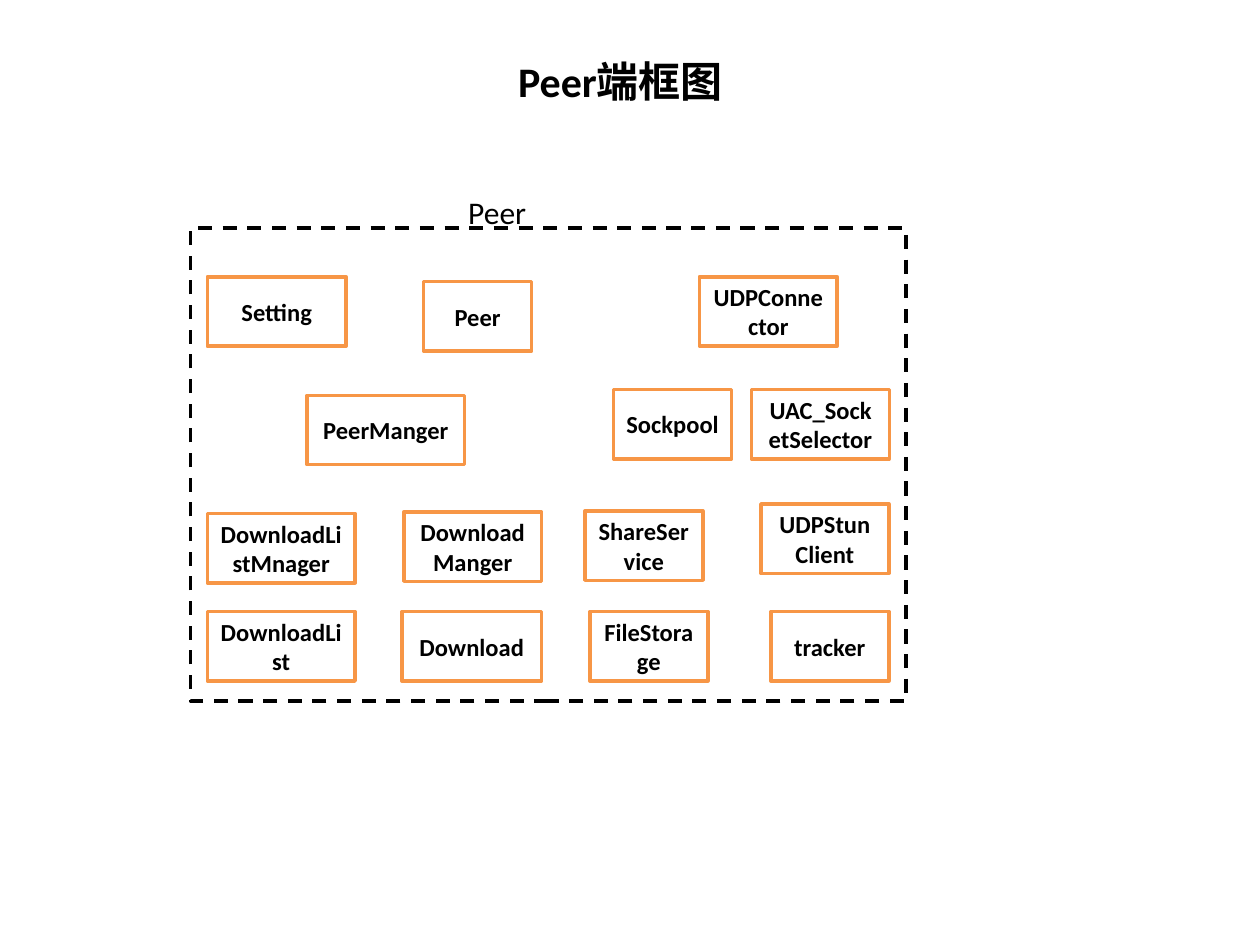
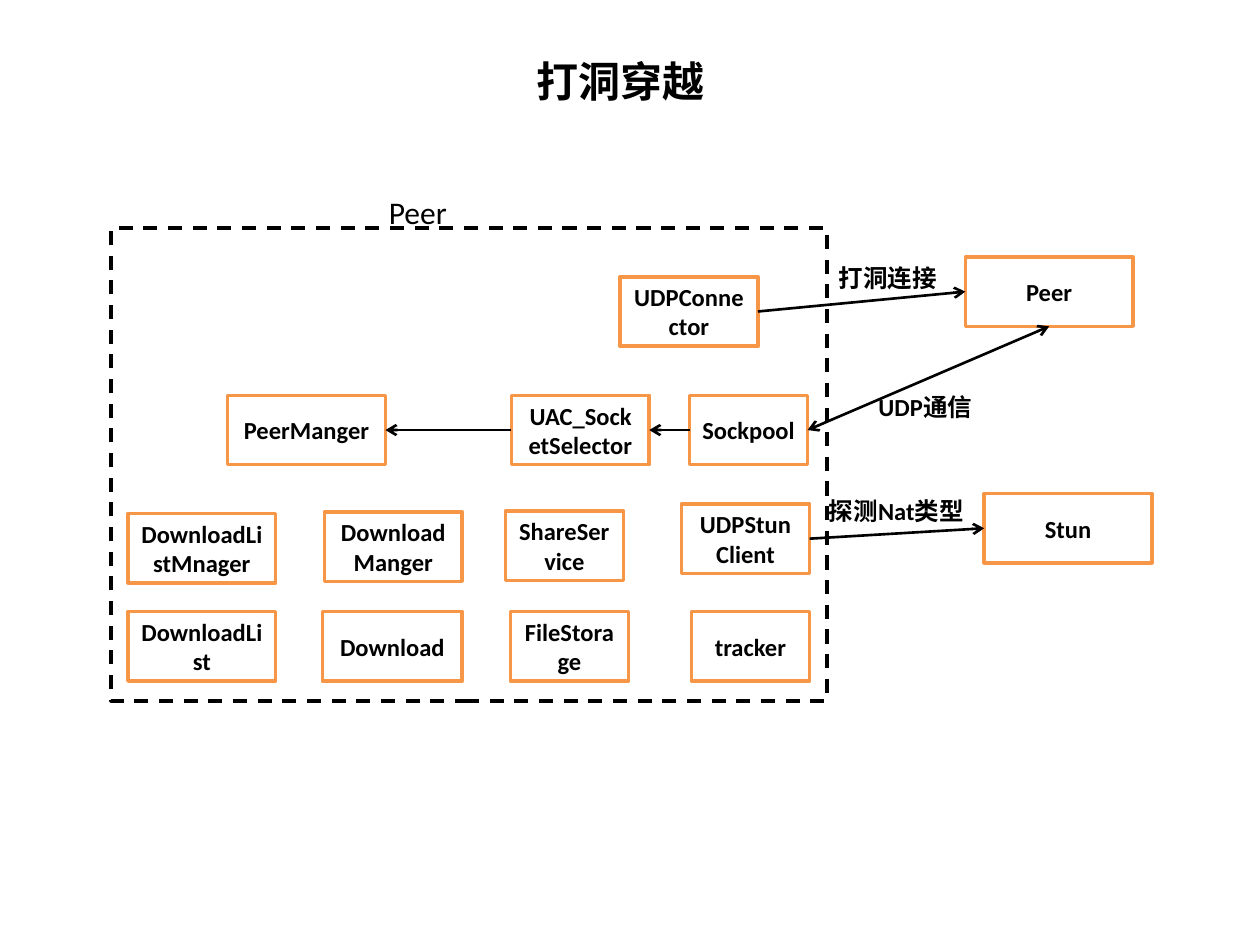
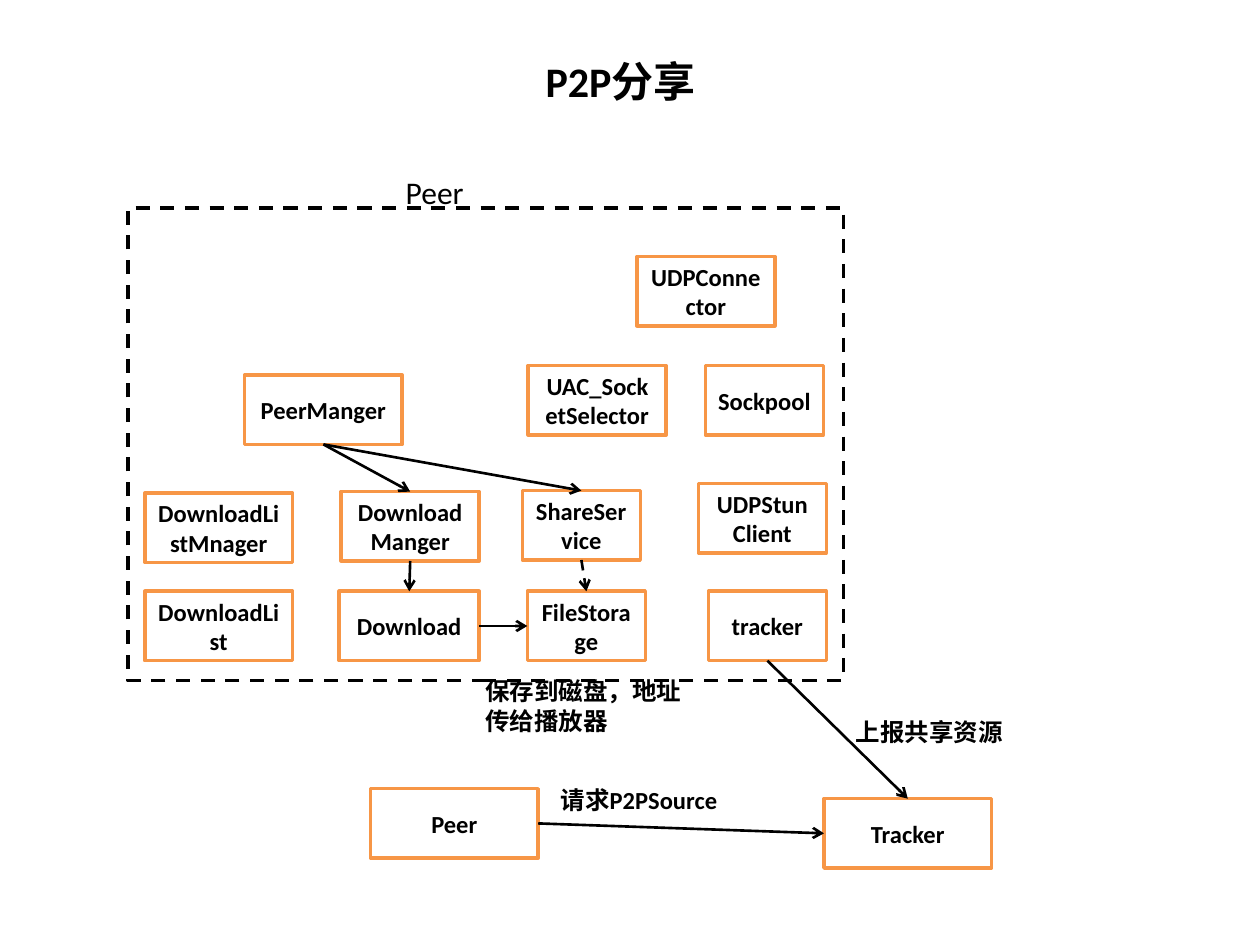
from dataclasses import dataclass

from lxml import etree
from pptx import Presentation
from pptx import util as u
from pptx.dml import color
from pptx.enum import dml, shapes, text
from pptx.oxml import ns

HUES = {"ink": "000000", "paper": "FFFFFF", "edge": "F79646"}
FONT = "Calibri"
BOX_H = 1.4
OUT_W = 3.38
FRAME_W, FRAME_H = 14.43, 9.53
TOP, LEFT, BASE, RIGHT = 0, 1, 2, 3


@dataclass
class Box:
    name: str
    x: float
    y: float
    w: float = OUT_W


@dataclass
class Note:
    words: str
    x: float
    y: float
    w: float = 3.96
    h: float = 0.86
    size: int = 14
    bold: bool = True
    center: bool = False


@dataclass
class Wire:
    start: str
    leave: int
    end: str
    enter: int
    both: bool = False
    dash: bool = False


@dataclass
class Page:
    title: str
    x: float
    y: float
    inner: list[Box]
    outer: list[Box]
    wires: list[Wire]
    notes: list[Note]


CORE = [
    Box("DownloadManger", 4.3, 5.72, 2.78),
    Box("DownloadList", 0.34, 7.73, 2.98),
    Box("Download", 4.26, 7.73, 2.82),
    Box("PeerManger", 2.35, 3.37, 3.18),
    Box("ShareService", 7.95, 5.7, 2.38),
    Box("UDPStunClient", 11.5, 5.56, 2.58),
    Box("tracker", 11.7, 7.73, 2.38),
    Box("DownloadListMnager", 0.34, 5.75, 2.98),
    Box("FileStorage", 8.05, 7.73, 2.38),
    Box("UDPConnector", 10.26, 0.98, 2.78),
]


def sockets(pick: float, pool: float, y: float) -> list[Box]:
    return [Box("UAC_SocketSelector", pick, y, 2.78), Box("Sockpool", pool, y, 2.38)]


PAGES = [
    Page(
        "Peer端框图", 3.84, 4.6,
        sockets(11.31, 8.53, 3.25)
        + [Box("Setting", 0.34, 0.98, 2.8), Box("Peer", 4.7, 1.08, 2.18)],
        [], [], [],
    ),
    Page(
        "打洞穿越", 2.24, 4.6,
        sockets(8.07, 11.66, 3.37),
        [Box("Stun", 19.84, 9.95), Box("Peer", 19.46, 5.18)],
        [
            Wire("UDPStunClient", RIGHT, "Stun", LEFT),
            Wire("UDPConnector", RIGHT, "Peer", LEFT),
            Wire("Sockpool", RIGHT, "Peer", BASE, both=True),
            Wire("Sockpool", LEFT, "UAC_SocketSelector", RIGHT),
            Wire("UAC_SocketSelector", LEFT, "PeerManger", RIGHT),
        ],
        [
            Note("探测Nat类型", 16.46, 9.88),
            Note("打洞连接", 16.66, 5.18),
            Note("UDP通信", 17.46, 7.77),
        ],
    ),
    Page(
        "P2P分享", 2.58, 4.19,
        sockets(8.07, 11.64, 3.18),
        [Box("Tracker", 16.61, 16.1), Box("Peer", 7.47, 15.9)],
        [
            Wire("PeerManger", BASE, "ShareService", TOP),
            Wire("PeerManger", BASE, "DownloadManger", TOP),
            Wire("DownloadManger", BASE, "Download", TOP),
            Wire("Download", RIGHT, "FileStorage", LEFT),
            Wire("ShareService", BASE, "FileStorage", TOP, dash=True),
            Wire("tracker", BASE, "Tracker", TOP),
            Wire("Peer", RIGHT, "Tracker", LEFT),
        ],
        [
            Note("上报共享资源", 17, 14.33),
            Note("请求P2PSource", 11.05, 15.7),
            Note("保存到磁盘，地址传给播放器", 9.53, 13.51, 4.57, 1.45),
        ],
    ),
]


def hue(key: str) -> color.RGBColor:
    return color.RGBColor.from_string(HUES[key])


def write(shape, words: str, size: int, bold: bool, center: bool) -> None:
    shape.text_frame.text = words
    shape.text_frame.word_wrap = True
    para = shape.text_frame.paragraphs[0]
    para.alignment = text.PP_ALIGN.CENTER if center else text.PP_ALIGN.LEFT
    font = para.runs[0].font
    font.name, font.size, font.bold = FONT, u.Pt(size), bold
    font.color.rgb = hue("ink")


def stroke(line, key: str, width: float, dash: bool = False) -> None:
    line.color.rgb = hue(key)
    line.width = u.Pt(width)
    if dash:
        line.dash_style = dml.MSO_LINE.DASH


def draw_rect(slide, x: float, y: float, w: float, h: float, key: str, dash: bool = False):
    rect = slide.shapes.add_shape(
        shapes.MSO_SHAPE.RECTANGLE, u.Cm(x), u.Cm(y), u.Cm(w), u.Cm(h))
    rect.shadow.inherit = False
    rect.fill.solid()
    rect.fill.fore_color.rgb = hue("paper")
    stroke(rect.line, key, 2, dash)
    return rect


def draw_box(slide, box: Box, dx: float = 0, dy: float = 0):
    rect = draw_rect(slide, box.x + dx, box.y + dy, box.w, BOX_H, "edge")
    write(rect, box.name, 14, True, True)
    return rect


def draw_note(slide, note: Note) -> None:
    area = slide.shapes.add_textbox(
        u.Cm(note.x), u.Cm(note.y), u.Cm(note.w), u.Cm(note.h))
    write(area, note.words, note.size, note.bold, note.center)
    area.text_frame.auto_size = text.MSO_AUTO_SIZE.SHAPE_TO_FIT_TEXT


def draw_wire(slide, wire: Wire, nodes: dict) -> None:
    link = slide.shapes.add_connector(shapes.MSO_CONNECTOR.STRAIGHT, 0, 0, 0, 0)
    link.begin_connect(nodes[wire.start], wire.leave)
    link.end_connect(nodes[wire.end], wire.enter)
    stroke(link.line, "ink", 1.5, wire.dash)
    props = link._element.spPr
    edge = props.find(ns.qn("a:ln"))
    for tip in ["a:headEnd", "a:tailEnd"] if wire.both else ["a:tailEnd"]:
        etree.SubElement(edge, ns.qn(tip), type="arrow")
    etree.SubElement(props, ns.qn("a:effectLst"))


def draw_page(deck, page: Page) -> None:
    slide = deck.slides.add_slide(deck.slide_layouts[6])
    draw_rect(slide, page.x, page.y, FRAME_W, FRAME_H, "ink", dash=True)
    nodes = {box.name: draw_box(slide, box, page.x, page.y) for box in CORE + page.inner}
    nodes |= {box.name: draw_box(slide, box) for box in page.outer}
    for wire in page.wires:
        draw_wire(slide, wire, nodes)
    head = Note("Peer", page.x + 5.35, page.y - 0.83, OUT_W, 1.03, 18, False)
    title = Note(page.title, 2.39, 0.99, 20.24, 1.27, 24, center=True)
    for note in [head, title] + page.notes:
        draw_note(slide, note)


def main() -> None:
    deck = Presentation()
    deck.slide_width, deck.slide_height = u.Cm(25.4), u.Cm(19.05)
    for page in PAGES:
        draw_page(deck, page)
    deck.save("out.pptx")


if __name__ == "__main__":
    main()
